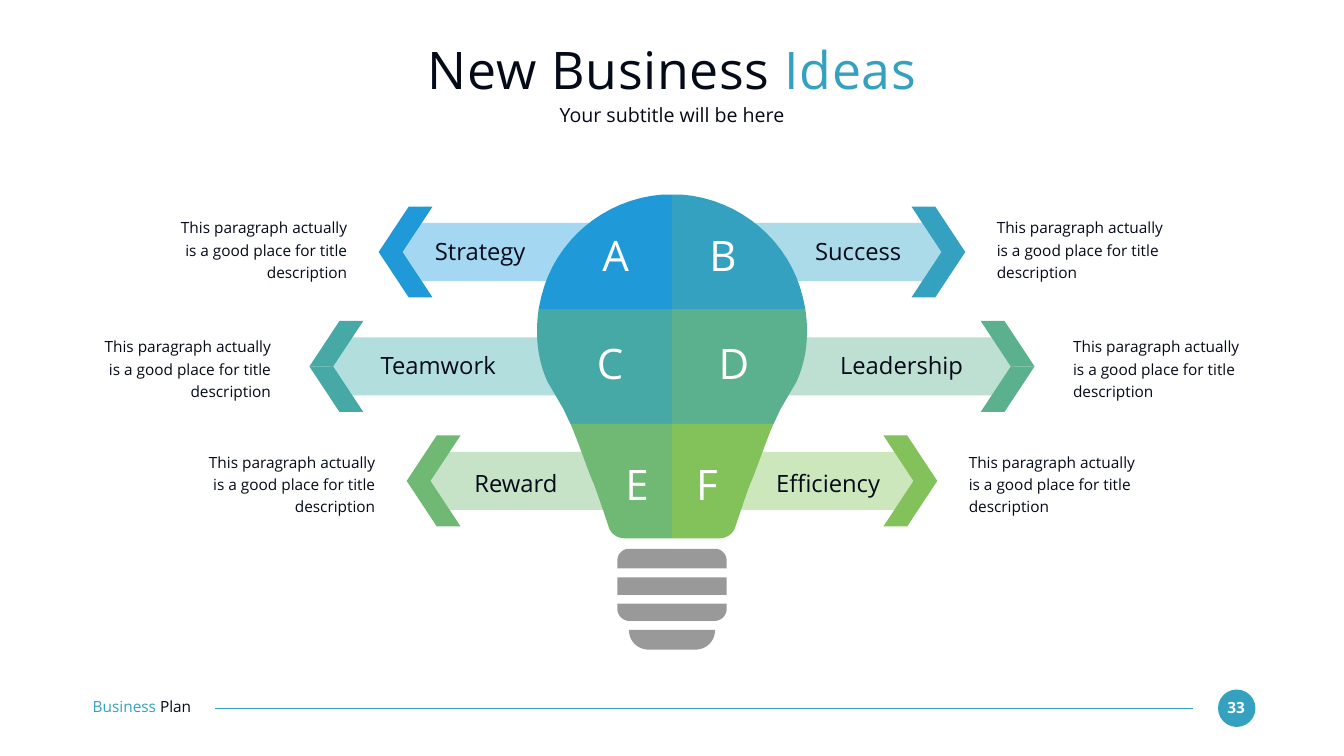
from lxml import etree
from pptx import Presentation
from pptx.dml.color import RGBColor
from pptx.enum.shapes import MSO_CONNECTOR, MSO_SHAPE
from pptx.enum.text import MSO_ANCHOR, MSO_AUTO_SIZE, PP_ALIGN
from pptx.oxml.ns import qn
from pptx.util import Pt

LEFT, CENTER, RIGHT = PP_ALIGN.LEFT, PP_ALIGN.CENTER, PP_ALIGN.RIGHT
FONT = "Open Sans"
INK = RGBColor(0x05, 0x0A, 0x19)
WHITE = RGBColor(0xFF, 0xFF, 0xFF)
TEAL = RGBColor(0x34, 0xA1, 0xC0)
GRAY = RGBColor(0x99, 0x99, 0x99)

TITLE = [("New Business ", INK), ("Ideas", TEAL)]
SUBTITLE = [("Your subtitle will be here", INK)]
FOOTER = [("Business ", TEAL), ("Plan", INK)]
PAGE_NUMBER = [("33", WHITE)]
DESCRIPTION = "This paragraph actually is a good place for title description"

# side (-1 left, 1 right), letter, label, colour, band colour, letter offset, label offset
IDEAS = [
    [(-1, "A", "Strategy", "1F99D8", "A3D7F2", 80.5, 274),
     (1, "B", "Success", "34A1C0", "ABDBE8", 73, 266)],
    [(-1, "C", "Teamwork", "46A9A6", "B2DFDE", 88.5, 334),
     (1, "D", "Leadership", "5BB18E", "BDE0D2", 88.5, 328)],
    [(-1, "E", "Reward", "70B974", "C6E3C7", 50, 223),
     (1, "F", "Efficiency", "83C25A", "CDE7BD", 50, 223)],
]
# Offsets from the centre line, then the tops of the texts in the row
ROWS = [
    dict(inner=46, tip=419, gap=45, letter=327.5, label=338.5, label_width=193, text=307),
    dict(inner=46, tip=518, gap=55, letter=481.5, label=500.5, label_width=266, text=477),
    dict(inner=6, tip=379, gap=45, letter=654.5, label=669.5, label_width=193, text=641.5),
]
# Right-hand outlines: two numbers are a corner, six are a Bezier curve
BULB_ZONES = [
    [(0, 441.5), (190.5, 441.5), (187, 425), (168, 344, 97, 284.5, 14, 278), (0, 278)],
    [(0, 605.5), (145, 605.5), (149, 597.5, 152, 591, 155, 584.5), (177.5, 546),
     (192, 515, 196, 479, 190.5, 441.5), (0, 441.5)],
    [(0, 605.5), (0, 769), (68, 769), (78, 769, 87, 762.5, 90, 754),
     (97, 733, 107, 703.5, 112, 690.5), (118.5, 677, 132, 636, 145, 605.5)],
]
SOCKET_RINGS = [
    [(61.5, 784), (70, 784, 78, 791, 78, 800.5), (78, 812)],
    [(78, 825), (78, 850)],
    [(78, 862.5), (78, 870.5), (78, 879, 70, 887, 61.5, 887)],
    [(61.5, 900), (61.5, 916, 49, 928, 33.5, 928)],
]

MIDDLE_X = 960
FIRST_ROW_Y, ROW_STEP = 360, 163.5
BAND_HALF, BAND_POINT, BAND_INSET = 41.5, 25, 29
CHEVRON_HALF = 65
DESCRIPTION_WIDTH, LETTER_WIDTH = 255, 77
CURVE_STEPS = 16

prs = Presentation()
prs.slide_width, prs.slide_height = Pt(1920), Pt(1080)
slide = prs.slides.add_slide(prs.slide_layouts[1])
shapes = slide.shapes


def write(frame, parts, size, align=CENTER, bold=False):
    """Fill a frame with one paragraph of (text, colour) parts."""
    frame.margin_left = frame.margin_right = frame.margin_top = frame.margin_bottom = 0
    frame.word_wrap = True
    paragraph = frame.paragraphs[0]
    paragraph.alignment = align
    for words, color in parts:
        run = paragraph.add_run()
        run.text = words
        run.font.name, run.font.size, run.font.bold = FONT, Pt(size), bold
        run.font.color.rgb = color
    return paragraph


def add_text(x, y, width, height, parts, size, align=CENTER, bold=False):
    frame = shapes.add_textbox(Pt(x), Pt(y), Pt(width), Pt(height)).text_frame
    frame.auto_size = MSO_AUTO_SIZE.SHAPE_TO_FIT_TEXT
    return write(frame, parts, size, align, bold)


def fill_placeholder(holder, y, height, parts, size):
    holder.left, holder.top, holder.width, holder.height = Pt(132), Pt(y), Pt(1656), Pt(height)
    holder.text_frame.auto_size = MSO_AUTO_SIZE.NONE
    holder.text_frame.vertical_anchor = MSO_ANCHOR.MIDDLE
    return write(holder.text_frame, parts, size)


def paint(shape, color):
    shape.shadow.inherit = False
    shape.fill.solid()
    shape.fill.fore_color.rgb = color
    shape.line.fill.background()


def flatten(outline):
    """Turn corners and Bezier curves into a list of points."""
    points = []
    for step in outline:
        if len(step) == 2:
            points.append(step)
            continue
        (x0, y0), (x1, y1, x2, y2, x3, y3) = points[-1], step
        for i in range(1, CURVE_STEPS + 1):
            t = i / CURVE_STEPS
            a, b, c, d = (1 - t) ** 3, 3 * t * (1 - t) ** 2, 3 * t * t * (1 - t), t ** 3
            points.append((a * x0 + b * x1 + c * x2 + d * x3,
                           a * y0 + b * y1 + c * y2 + d * y3))
    return points


def add_outline(contours, color, side=1):
    """Draw closed contours whose x runs from the centre line towards side."""
    placed = [[(Pt(MIDDLE_X + side * x), Pt(y)) for x, y in contour] for contour in contours]
    builder = shapes.build_freeform(*placed[0][0])
    for i, contour in enumerate(placed):
        if i:
            builder.move_to(*contour[0])
        builder.add_line_segments(contour[1:], close=True)
    paint(builder.convert_to_shape(), color)


def add_arrow(side, y, row, color, band_color):
    tip = row["tip"]
    band_tip = tip - BAND_INSET
    shoulder = band_tip - BAND_POINT
    add_outline([[(row["inner"], y - BAND_HALF), (shoulder, y - BAND_HALF), (band_tip, y),
                  (shoulder, y + BAND_HALF), (row["inner"], y + BAND_HALF)]], band_color, side)
    for end in (y - CHEVRON_HALF, y + CHEVRON_HALF):
        add_outline([[(tip, y), (tip - 34, y), (tip - 77, end), (tip - 43, end)]], color, side)


# Footer
page_dot = shapes.add_shape(MSO_SHAPE.OVAL, Pt(1740), Pt(985), Pt(53.5), Pt(53.5))
paint(page_dot, TEAL)
add_text(1744.5, 997, 42.5, 26.5, PAGE_NUMBER, 22, bold=True)
rule = shapes.add_connector(MSO_CONNECTOR.STRAIGHT, Pt(1704), Pt(1011.5), Pt(307.5), Pt(1011.5))
rule.line.color.rgb, rule.line.width = TEAL, Pt(1.5)
etree.SubElement(rule.element.spPr, qn("a:effectLst"))
add_text(132.5, 996.5, 186.5, 26.5, FOOTER, 22, LEFT)

# Headings
title = fill_placeholder(shapes.title, 52.5, 91.5, TITLE, 74)
for run in title.runs:
    run.font.element.set("spc", "100") if hasattr(run.font, "element") else \
        run._r.get_or_add_rPr().set("spc", "100")
subtitle = fill_placeholder(slide.placeholders[1], 146, 35.5, SUBTITLE, 28)
subtitle.space_before = Pt(0)
subtitle_format = subtitle._p.get_or_add_pPr()
subtitle_format.set("marL", "0")
subtitle_format.set("indent", "0")
etree.SubElement(subtitle_format, qn("a:buNone"))

# Arrows lie behind the bulb
for i, (ideas, row) in enumerate(zip(IDEAS, ROWS)):
    for side, letter, label, color, band_color, *offsets in ideas:
        add_arrow(side, FIRST_ROW_Y + i * ROW_STEP, row,
                  RGBColor.from_string(color), RGBColor.from_string(band_color))

for ideas, row, zone in zip(IDEAS, ROWS, BULB_ZONES):
    for side, letter, label, color, band_color, letter_x, label_x in ideas:
        add_outline([flatten(zone)], RGBColor.from_string(color), side)
        add_text(MIDDLE_X + side * letter_x - LETTER_WIDTH / 2, row["letter"],
                 LETTER_WIDTH, 72.5, [(letter, WHITE)], 60)
        width = row["label_width"]
        add_text(MIDDLE_X + side * label_x - width / 2, row["label"], width, 41,
                 [(label, INK)], 34)
        near = MIDDLE_X + side * (row["tip"] + row["gap"])
        description = add_text(near if side > 0 else near - DESCRIPTION_WIDTH, row["text"],
                               DESCRIPTION_WIDTH, 96, [(DESCRIPTION, INK)], 22,
                               LEFT if side > 0 else RIGHT)
        description.line_spacing = 1.2

rings = [flatten(ring) for ring in SOCKET_RINGS]
add_outline([ring + [(-x, y) for x, y in reversed(ring)] for ring in rings], GRAY)

prs.save("out.pptx")
